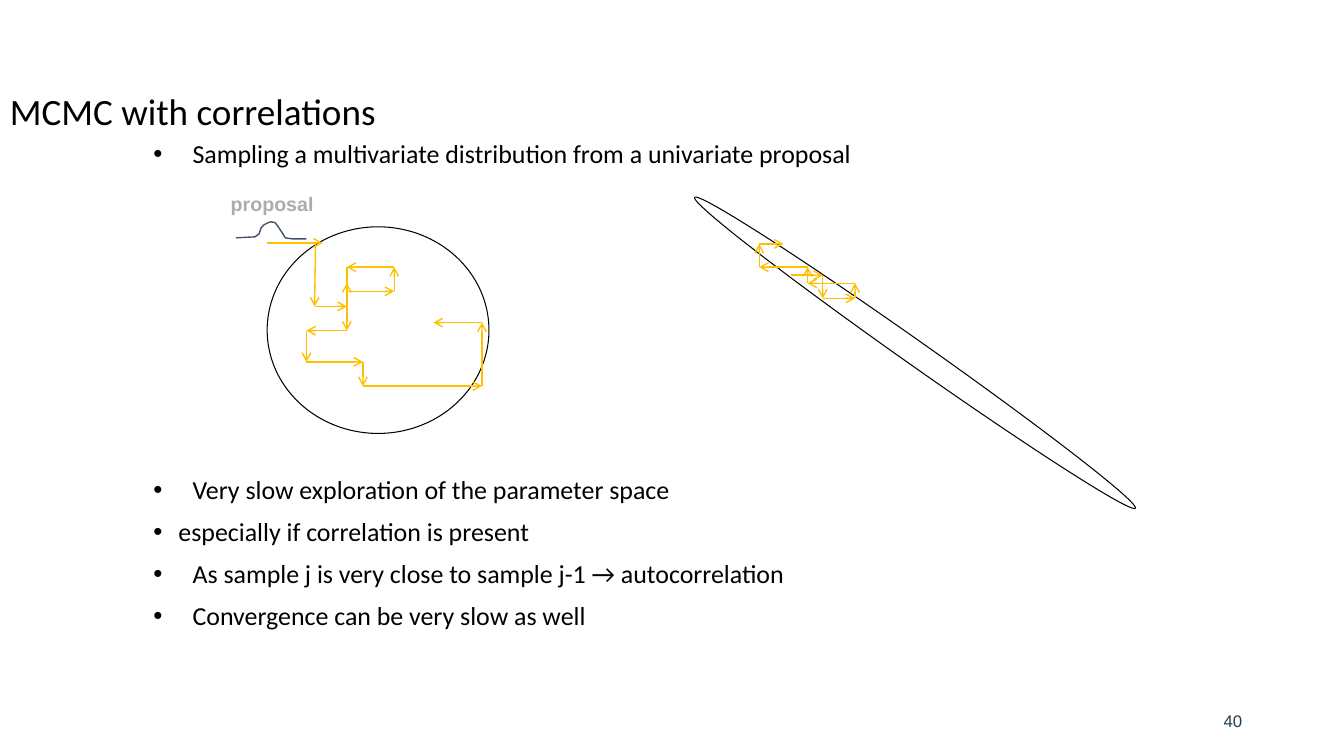
from itertools import pairwise
from lxml.etree import SubElement
from pptx import Presentation
from pptx.dml.color import RGBColor as RGB
from pptx.enum.shapes import MSO_CONNECTOR as LINK, MSO_SHAPE as SHAPE
from pptx.enum.text import MSO_ANCHOR as ANCHOR, PP_ALIGN as ALIGN
from pptx.oxml.ns import qn
from pptx.util import Inches, Pt

HUES = {"ink": "000000", "paper": "FFFFFF", "walk": "FFC000",
        "bell": "44546A", "label": "AFABAB", "page": "233C4C"}

POINTS = [
    ("Sampling a multivariate distribution from a univariate proposal", 0.39, 10),
    ("Very slow exploration of the parameter space", 0.39, 220),
    ("especially if correlation is present", 0.25, 10),
    ("As sample j is very close to sample j-1 → autocorrelation", 0.39, 10),
    ("Convergence can be very slow as well", 0.39, 10),
]
ROUND = [
    [(0, 0.16), (0.55, 0.16)],
    [(0.48, 0.16), (0.47, 0.79), (0.79, 0.79), (0.79, 0.56)],
    [(0.79, 0.64), (1.26, 0.64), (1.26, 0.4), (0.79, 0.4), (0.79, 1.03),
     (0.39, 1.03), (0.39, 1.34), (0.95, 1.34), (0.95, 1.58), (2.13, 1.58),
     (2.13, 0.95), (1.65, 0.95)],
]
NARROW = [
    [(1.45, 0.83), (1.76, 0.83), (1.76, 1.06), (2.08, 1.06), (2.08, 0.91),
     (1.61, 0.91), (1.61, 0.75), (1.13, 0.75), (1.13, 0.52), (1.37, 0.52)],
]
BELL = [(0, 16), (19, 15), (23, 12), (25, 6), (28, 3), (32, 1), (35, 0),
        (39, 1), (42, 5), (46, 11), (49, 16), (56, 17), (70, 17)]


def hue(name):
    return RGB.from_string(HUES[name])


def style(para, size, face, tint):
    para.font.size, para.font.name = Pt(size), face
    para.font.color.rgb = hue(tint)


def label(slide, box, text, size, face, tint, anchor=ANCHOR.TOP, wrap=True):
    frame = slide.shapes.add_textbox(*map(Inches, box)).text_frame
    frame.word_wrap, frame.vertical_anchor = wrap, anchor
    para = frame.paragraphs[0]
    para.text = text
    style(para, size, face, tint)
    return para


def title(slide, box):
    para = label(slide, box, "MCMC with correlations", 26.5, "Calibri", "ink", ANCHOR.MIDDLE)
    para.line_spacing = 0.9


def body(slide, box):
    frame = slide.shapes.add_textbox(*map(Inches, box)).text_frame
    frame.word_wrap = True
    frame.margin_left = frame.margin_right = 0
    frame.margin_top = frame.margin_bottom = 0
    for i, (text, indent, gap) in enumerate(POINTS):
        para = frame.add_paragraph() if i else frame.paragraphs[0]
        para.text = text
        para.line_spacing, para.space_before = 0.9, Pt(gap)
        style(para, 18.5, "Calibri", "ink")
        props = para._p.get_or_add_pPr()
        props.set("marL", str(Inches(indent)))
        props.set("indent", str(-Inches(indent)))
        SubElement(props, qn("a:buFont"), typeface="Arial")
        SubElement(props, qn("a:buChar"), char="•")


def arrow(slide, start, end):
    link = slide.shapes.add_connector(LINK.STRAIGHT, *map(Inches, (*start, *end)))
    link.line.color.rgb, link.line.width = hue("walk"), Pt(1)
    SubElement(link.line._get_or_add_ln(), qn("a:tailEnd"), type="arrow")
    SubElement(link._element.spPr, qn("a:effectLst"))


def target(slide, box, walks, drop=0, turn=0):
    x, y, w, h = box
    oval = slide.shapes.add_shape(SHAPE.OVAL, *map(Inches, (x, y + drop, w, h)))
    oval.shadow.inherit, oval.rotation = False, turn
    oval.fill.solid()
    oval.fill.fore_color.rgb = hue("paper")
    oval.line.color.rgb, oval.line.width = hue("ink"), Pt(0.75)
    for walk in walks:
        for start, end in pairwise([(x + a, y + b) for a, b in walk]):
            arrow(slide, start, end)


def bell(slide, box):
    x, y, w, h = box
    pen = slide.shapes.build_freeform(*BELL[0], scale=Inches(0.01))
    pen.add_line_segments(BELL[1:], close=False)
    curve = pen.convert_to_shape(Inches(x + 0.15), Inches(y + 0.34))
    curve.shadow.inherit = False
    curve.fill.background()
    curve.line.color.rgb, curve.line.width = hue("bell"), Pt(1)
    para = label(slide, box, "proposal", 14, "Arial", "label", wrap=False)
    para.font.bold = True


def page(slide, box):
    para = label(slide, box, "40", 12, "Arial", "page", ANCHOR.MIDDLE)
    para.alignment = ALIGN.RIGHT


def main():
    deck = Presentation()
    deck.slide_width, deck.slide_height = Inches(13.33), Inches(7.5)
    slide = deck.slides.add_slide(deck.slide_layouts[6])
    page(slide, (9.42, 6.95, 3, 0.4))
    title(slide, (0, 0.4, 11.5, 1.45))
    body(slide, (1.52, 1.4, 11.82, 5.23))
    target(slide, (6.4, 1.9, 5.35, 0.24), NARROW, drop=1.48, turn=35.2)
    target(slide, (2.65, 2.25, 2.2, 2.05), ROUND)
    bell(slide, (2.19, 1.86, 1.03, 0.34))
    deck.save("out.pptx")


if __name__ == "__main__":
    main()
